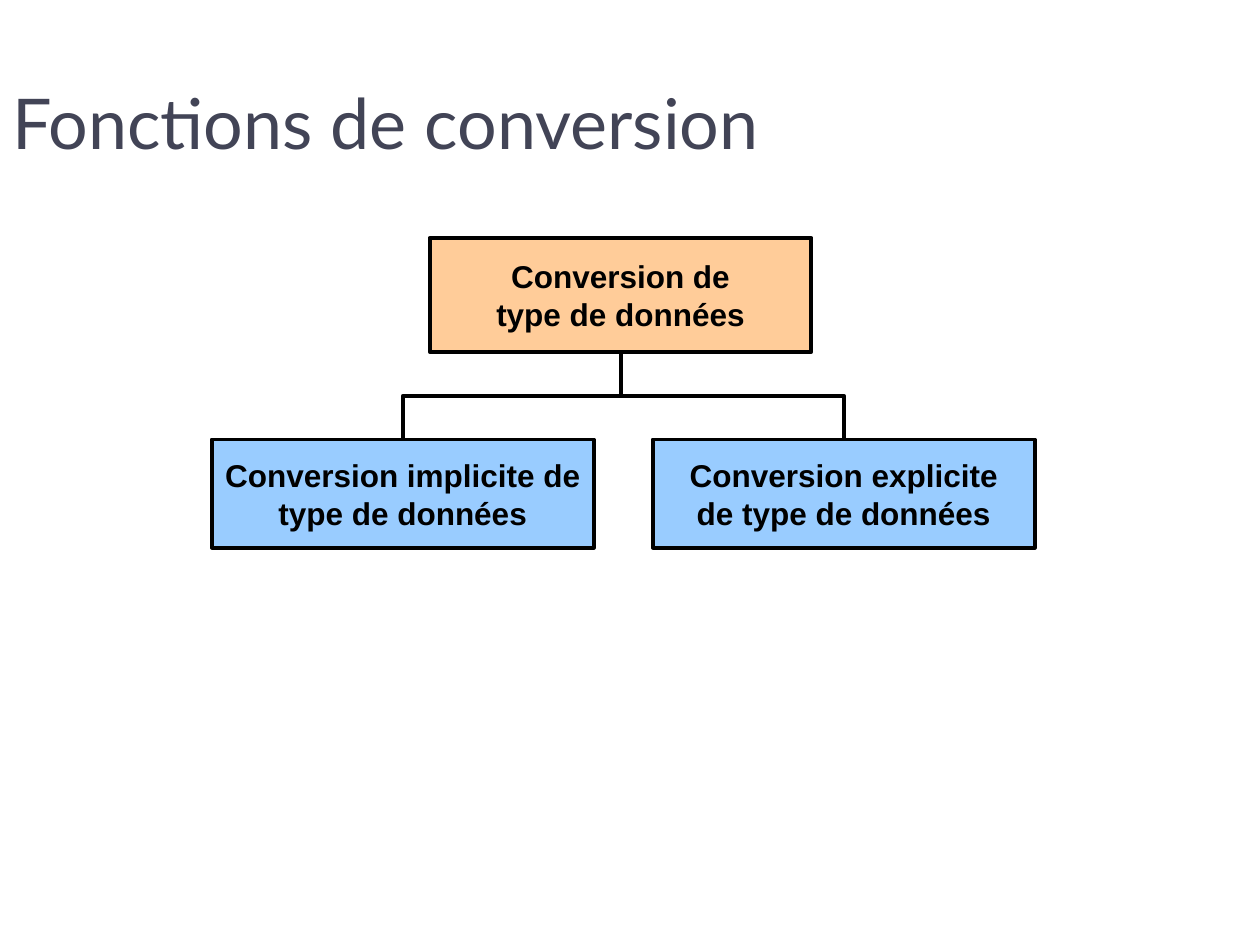
from lxml.etree import SubElement
from pptx import Presentation
from pptx.dml.color import RGBColor
from pptx.enum.shapes import MSO_CONNECTOR, MSO_SHAPE
from pptx.enum.text import MSO_ANCHOR, PP_ALIGN
from pptx.oxml.ns import qn
from pptx.util import Cm, Pt

BLACK = RGBColor(0x00, 0x00, 0x00)
SLATE = RGBColor(0x42, 0x44, 0x56)
ORANGE = RGBColor(0xFF, 0xCC, 0x99)
BLUE = RGBColor(0x99, 0xCC, 0xFF)

# Content
TITLE = "Fonctions de conversion"
ROOT = ["Conversion de", "type de données"]
CHILDREN = [
    ["Conversion implicite de", "type de données"],
    ["Conversion explicite", "de type de données"],
]

# Tree layout in cm
BOX_W = 7.7
ROOT_X, ROOT_Y, ROOT_H = 8.66, 4.8, 2.29
CHILD_X, CHILD_Y, CHILD_H, CHILD_STEP = 4.27, 8.86, 2.18, 8.89
BAR_Y = 7.98


def write(tf, lines, size, font, color, bold=False, align=PP_ALIGN.LEFT, wrap=True):
    tf.word_wrap = wrap
    tf.vertical_anchor = MSO_ANCHOR.MIDDLE
    for i, line in enumerate(lines):
        p = tf.paragraphs[0] if i == 0 else tf.add_paragraph()
        p.alignment = align
        r = p.add_run()
        r.text = line
        r.font.size = Pt(size)
        r.font.name = font
        r.font.bold = bold
        r.font.color.rgb = color


def outline(sp):
    sp.line.color.rgb = BLACK
    sp.line.width = Pt(2.25)


def add_box(slide, lines, x, y, h, fill):
    sp = slide.shapes.add_shape(MSO_SHAPE.RECTANGLE, Cm(x), Cm(y), Cm(BOX_W), Cm(h))
    sp.shadow.inherit = False
    sp.fill.solid()
    sp.fill.fore_color.rgb = fill
    outline(sp)
    write(sp.text_frame, lines, 18, "Arial", BLACK, bold=True,
          align=PP_ALIGN.CENTER, wrap=False)


def main():
    prs = Presentation()
    prs.slide_width, prs.slide_height = Cm(25.4), Cm(19.05)
    slide = prs.slides.add_slide(prs.slide_layouts[6])

    # Title
    box = slide.shapes.add_textbox(Cm(0), Cm(1.22), Cm(22), Cm(2.44))
    write(box.text_frame, [TITLE], 40, "Lato", SLATE)

    # Stem below the root
    root_mid = Cm(ROOT_X + BOX_W / 2)
    stem = slide.shapes.add_connector(
        MSO_CONNECTOR.STRAIGHT, root_mid, Cm(BAR_Y), root_mid, Cm(ROOT_Y + ROOT_H / 2))
    outline(stem)
    SubElement(stem.element.spPr, qn("a:effectLst"))

    # Bracket over the children
    child_xs = [CHILD_X + i * CHILD_STEP for i in range(len(CHILDREN))]
    left, right = (Cm(x + BOX_W / 2) for x in (child_xs[0], child_xs[-1]))
    foot = Cm(CHILD_Y + 0.5)
    path = slide.shapes.build_freeform(left, foot)
    path.add_line_segments(
        [(left, Cm(BAR_Y)), (right, Cm(BAR_Y)), (right, foot)], close=False)
    bracket = path.convert_to_shape()
    bracket.shadow.inherit = False
    bracket.fill.background()
    outline(bracket)

    # Boxes cover the line ends
    for lines, x in zip(CHILDREN, child_xs):
        add_box(slide, lines, x, CHILD_Y, CHILD_H, BLUE)
    add_box(slide, ROOT, ROOT_X, ROOT_Y, ROOT_H, ORANGE)

    prs.save("out.pptx")


if __name__ == "__main__":
    main()
